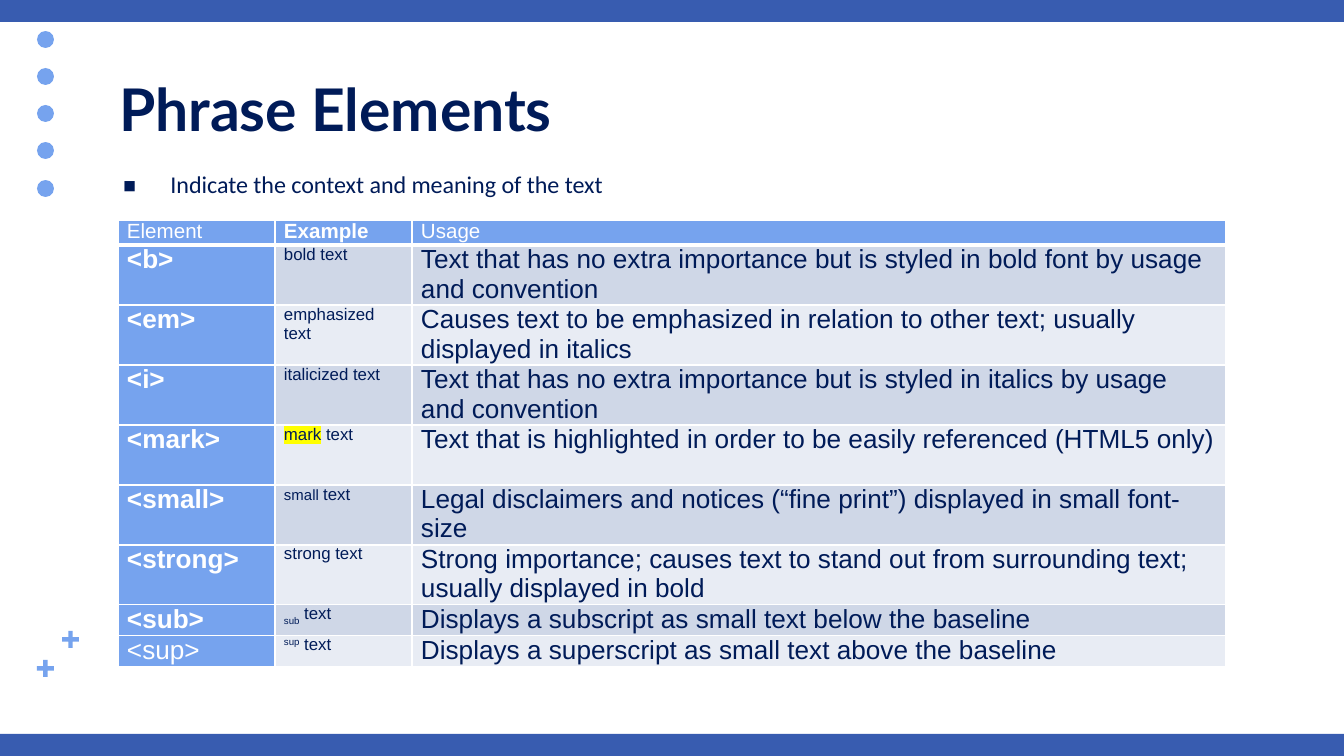
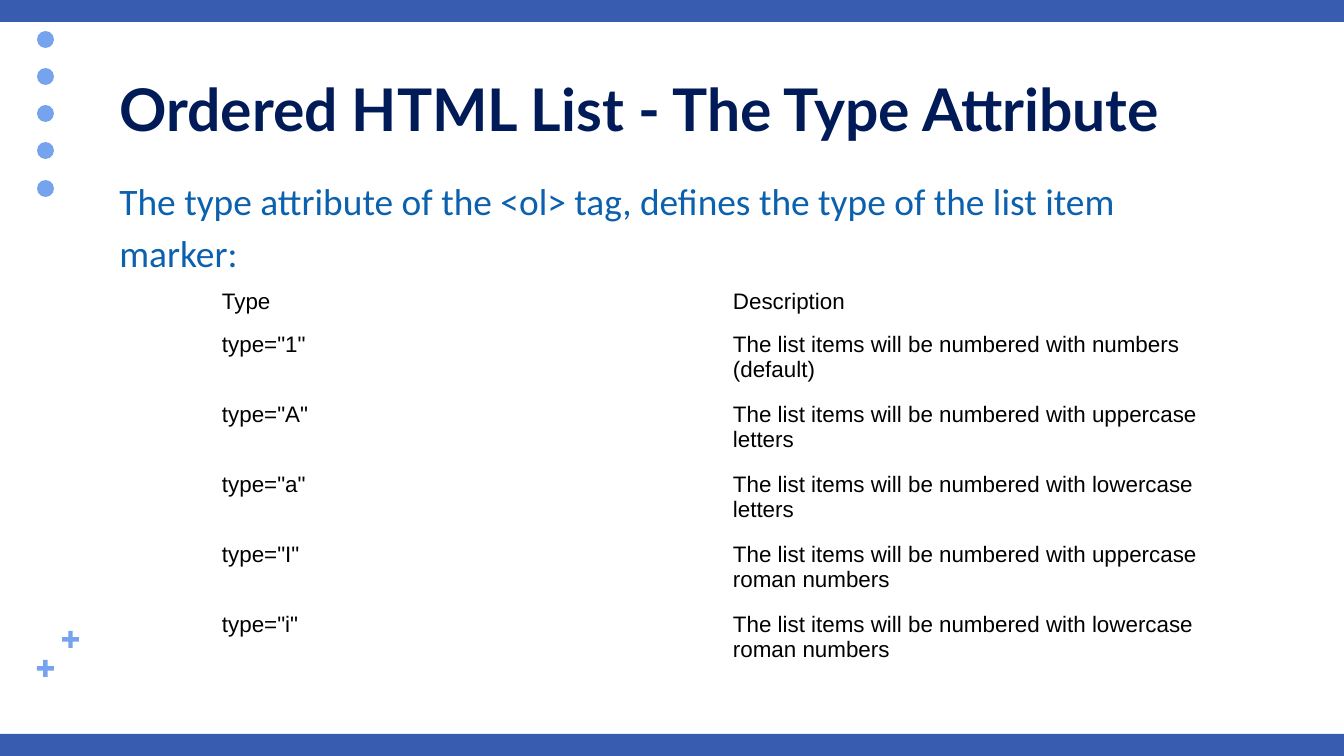
"""Builds two slides on HTML phrase elements and ordered lists."""
from lxml import etree
from pptx import Presentation
from pptx.dml.color import RGBColor
from pptx.enum.shapes import MSO_SHAPE
from pptx.enum.text import MSO_ANCHOR, MSO_AUTO_SIZE, PP_ALIGN
from pptx.oxml.ns import qn
from pptx.util import Pt

RECT, OVAL, CROSS = MSO_SHAPE.RECTANGLE, MSO_SHAPE.OVAL, MSO_SHAPE.CROSS
MIDDLE, TOP, LEFT = MSO_ANCHOR.MIDDLE, MSO_ANCHOR.TOP, PP_ALIGN.LEFT
FIXED = MSO_AUTO_SIZE.NONE

WHITE = RGBColor(0xFF, 0xFF, 0xFF)
BLACK = RGBColor(0x00, 0x00, 0x00)
NAVY = RGBColor(0x00, 0x1B, 0x58)
BLUE = RGBColor(0x0B, 0x61, 0xAE)
BAND = RGBColor(0x38, 0x5C, 0xB0)
SKY = RGBColor(0x76, 0xA3, 0xEE)
GREY = RGBColor(0xCF, 0xD7, 0xE7)
PALE = RGBColor(0xE8, 0xEC, 0xF4)
YELLOW = RGBColor(0xFF, 0xFF, 0x00)

SCALE = 914400 / 134.4
WIDE, HIGH = 1344, 756

PHRASES = [
    ("<b>", [("bold text", {})],
     "Text that has no extra importance but is styled in bold font by usage and convention"),
    ("<em>", [("emphasized text", {})],
     "Causes text to be emphasized in relation to other text; usually displayed in italics"),
    ("<i>", [("italicized text", {})],
     "Text that has no extra importance but is styled in italics by usage and convention"),
    ("<mark>", [("mark", {"mark": YELLOW}), (" text", {})],
     "Text that is highlighted in order to be easily referenced (HTML5 only)"),
    ("<small>", [("small ", {"size": 8}), ("text", {})],
     "Legal disclaimers and notices (“fine print”) displayed in small font-size"),
    ("<strong>", [("strong text", {})],
     "Strong importance; causes text to stand out from surrounding text; usually displayed in bold"),
    ("<sub>", [("sub", {"base": -25}), (" text", {})],
     "Displays a subscript as small text below the baseline"),
    ("<sup>", [("sup", {"base": 30}), (" text", {})],
     "Displays a superscript as small text above the baseline"),
]

TYPES = [
    ("1", "numbers (default)"),
    ("A", "uppercase letters"),
    ("a", "lowercase letters"),
    ("I", "uppercase roman numbers"),
    ("i", "lowercase roman numbers"),
]


def px(num):
    """Turn px into EMU."""
    return round(num * SCALE)


class Deck:
    """Holds the style and the current slide."""

    def __init__(self):
        """Start an empty deck."""
        self.prs = Presentation()
        self.prs.slide_width, self.prs.slide_height = px(WIDE), px(HIGH)
        self.slide = None

    def page(self, title):
        """Add a slide with its bands, marks and title."""
        self.slide = self.prs.slides.add_slide(self.prs.slide_layouts[1])
        for top in (734, 0):
            self.shape(RECT, -15, top, 1374, 22, BAND)
        for left, top in ((62, 631), (37, 660)):
            self.shape(CROSS, left, top, 17, 17, SKY).adjustments[0] = 0.37
        for i in range(5):
            self.shape(OVAL, 37, 31 + i * 149 // 4, 17, 17, SKY)
        par = self.hold(self.slide.shapes.title, 66, 85, MIDDLE)
        self.run(par, title, 31.5, NAVY, "Lato", True)

    def shape(self, kind, left, top, width, height, fill):
        """Add a plain filled shape."""
        item = self.slide.shapes.add_shape(kind, px(left), px(top), px(width), px(height))
        item.shadow.inherit = False
        item.fill.solid()
        item.fill.fore_color.rgb = fill
        item.line.fill.background()
        return item

    def hold(self, item, top, height, anchor):
        """Place a placeholder and return its first paragraph."""
        item.left, item.top, item.width, item.height = px(106), px(top), px(1133), px(height)
        frame = item.text_frame
        frame.word_wrap, frame.auto_size = True, FIXED
        frame.vertical_anchor = anchor
        par = frame.paragraphs[0]
        par.alignment, par.space_before = LEFT, Pt(0)
        return par

    def body(self, text, size, color, space, bullet=None):
        """Fill the body placeholder, with or without a bullet."""
        par = self.hold(self.slide.placeholders[1], 165, 62, TOP)
        par.line_spacing = space
        props = par._p.get_or_add_pPr()
        props.set("marL", str(px(51) if bullet else 0))
        props.set("indent", str(px(-48) if bullet else 0))
        if bullet:
            tint = etree.SubElement(props, qn("a:buClr"))
            etree.SubElement(tint, qn("a:srgbClr"), val=str(color))
            etree.SubElement(props, qn("a:buSzPct"), val="171000")
            etree.SubElement(props, qn("a:buChar"), char=bullet)
        else:
            etree.SubElement(props, qn("a:buNone"))
        self.run(par, text, size, color, "Calibri")

    def run(self, par, text, size, color, face="Arial", bold=False, base=0, mark=None):
        """Add one run of text."""
        run = par.add_run()
        run.text = text
        font = run.font
        font.size, font.bold, font.name = Pt(size), bold, face
        font.color.rgb = color
        props = run._r.get_or_add_rPr()
        if base:
            props.set("baseline", str(base * 1000))
        if mark:
            glow = etree.Element(qn("a:highlight"))
            etree.SubElement(glow, qn("a:srgbClr"), val=str(mark))
            props.find(qn("a:solidFill")).addnext(glow)

    def table(self, left, top, cols, rows):
        """Add a bare table of the given column widths and row heights."""
        frame = self.slide.shapes.add_table(
            len(rows), len(cols), px(left), px(top), px(sum(cols)), px(sum(rows)))
        grid = frame.table
        grid.first_row = grid.horz_banding = False
        for col, width in zip(grid.columns, cols):
            col.width = px(width)
        for row, height in zip(grid.rows, rows):
            row.height = px(height)
        return grid

    def cell(self, cell, runs, pads, fill=None, **style):
        """Fill a cell with runs of one style, each with its own changes."""
        cell.margin_left, cell.margin_top, cell.margin_right, cell.margin_bottom = map(px, pads)
        for text, extra in runs:
            self.run(cell.text_frame.paragraphs[0], text, **{**style, **extra})
        if fill:
            cell.fill.solid()
            cell.fill.fore_color.rgb = fill
        else:
            cell.fill.background()

    def edge(self, cell, **widths):
        """Draw white borders, by side, in points."""
        props = cell._tc.get_or_add_tcPr()
        for side in "LRTB":
            line = etree.SubElement(props, qn("a:ln" + side), w=str(Pt(widths.get(side, 1))))
            paint = etree.SubElement(line, qn("a:solidFill"))
            etree.SubElement(paint, qn("a:srgbClr"), val=str(WHITE))


def phrase(deck):
    """Build the slide on phrase elements."""
    deck.page("Phrase Elements")
    deck.body("Indicate the context and meaning of the text", 12.9, NAVY, 0.95, "▪")
    grid = deck.table(118, 220, [157, 137, 814], [25] + [60] * 6 + [31] * 2)
    pads = (9, 0, 9, 0)
    for col, text in enumerate(("Element", "Example", "Usage")):
        cell = grid.cell(0, col)
        deck.edge(cell, B=3)
        deck.cell(cell, [(text, {})], pads, SKY, size=11, color=WHITE, bold=col == 1)
    for row, (name, show, usage) in enumerate(PHRASES, 1):
        fill = GREY if row % 2 else PALE
        cells = [grid.cell(row, col) for col in range(3)]
        for cell in cells:
            deck.edge(cell, T=3 if row == 1 else 1)
        deck.cell(cells[0], [(name, {})], pads, SKY, size=14, color=WHITE,
                  bold=row < len(PHRASES))
        deck.cell(cells[1], show, pads, fill, size=9, color=NAVY)
        deck.cell(cells[2], [(usage, {})], pads, fill, size=14, color=NAVY)


def order(deck):
    """Build the slide on ordered lists."""
    deck.page("Ordered HTML List - The Type Attribute")
    deck.body("The type attribute of the <ol> tag, defines the type of the list item marker:",
              20, BLUE, 1.15)
    rows = [("Type", "Description")]
    rows += [(f'type="{key}"', f"The list items will be numbered with {kind}")
             for key, kind in TYPES]
    grid = deck.table(202, 281, [520, 521], [43] + [70] * len(TYPES))
    for row, texts in enumerate(rows):
        for col, text in enumerate(texts):
            pads = (11 if col else 20, 8, 11, 8)
            deck.cell(grid.cell(row, col), [(text, {})], pads, size=12, color=BLACK)


def main():
    """Build and save the deck."""
    deck = Deck()
    phrase(deck)
    order(deck)
    deck.prs.save("out.pptx")


if __name__ == "__main__":
    main()
